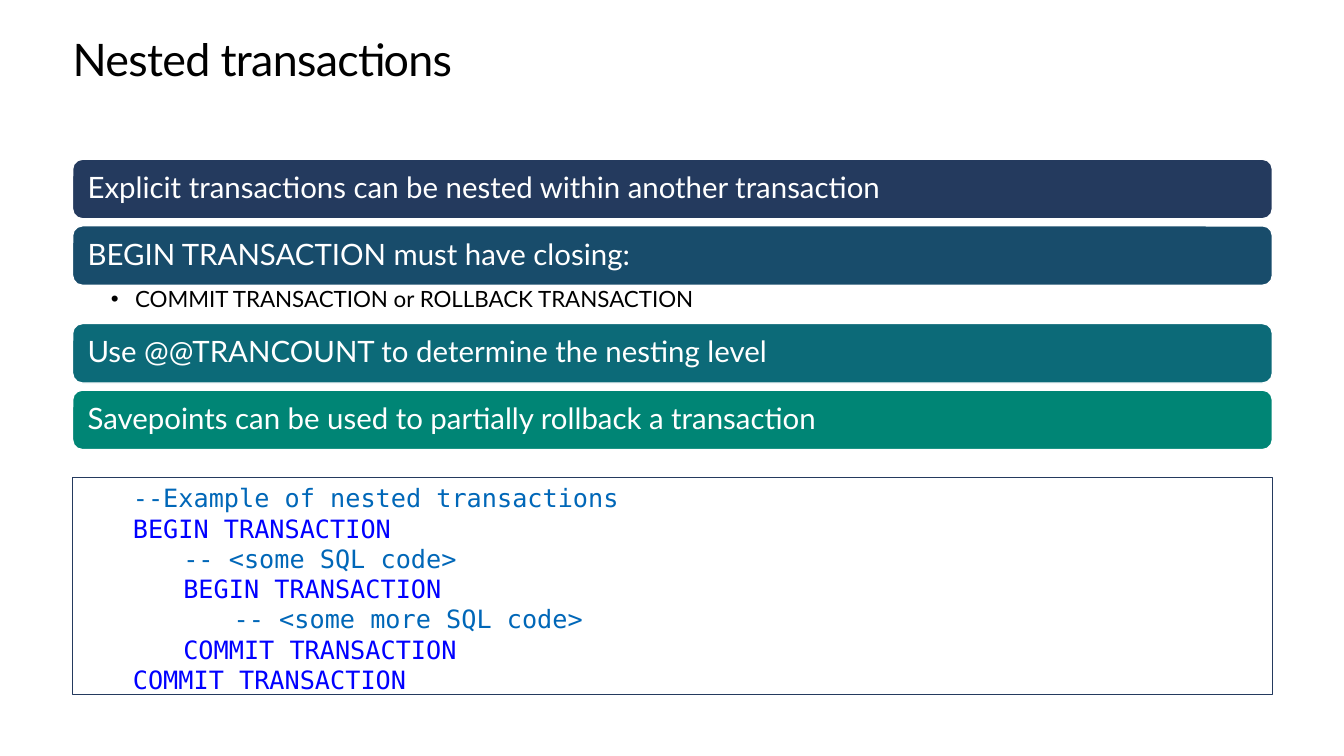
from dataclasses import dataclass

from pptx import Presentation
from pptx.dml.color import RGBColor as Rgb
from pptx.enum.shapes import MSO_SHAPE as Kind
from pptx.enum.text import MSO_ANCHOR as Anchor, MSO_AUTO_SIZE as Fit, PP_ALIGN as Align
from pptx.oxml.ns import qn
from pptx.util import Pt
from lxml.etree import SubElement

PX = 9144  # 100 px to the inch


@dataclass(frozen=True)
class Theme:
    sans: str = "Lato"
    mono: str = "DejaVu Sans Mono"
    black: str = "000000"
    white: str = "FFFFFF"
    navy: str = "243A5E"
    note: str = "0067B8"
    key: str = "0000FF"
    bars: tuple = ("243A5E", "184C6B", "0C6A78", "008575")
    head: int = 32
    item: int = 21
    sub: int = 16
    code: int = 18


LOOK = Theme()

ITEMS = [
    ("Explicit transactions can be nested within another transaction", None),
    ("BEGIN TRANSACTION must have closing:",
     "COMMIT TRANSACTION or ROLLBACK TRANSACTION"),
    ("Use @@TRANCOUNT to determine the nesting level", None),
    ("Savepoints can be used to partially rollback a transaction", None),
]

CODE = [
    "--Example of nested transactions",
    "BEGIN TRANSACTION",
    "\t-- <some SQL code>",
    "\tBEGIN TRANSACTION",
    "\t\t-- <some more SQL code>",
    "\tCOMMIT TRANSACTION",
    "COMMIT TRANSACTION",
]


def place(shape, box):
    shape.left, shape.top, shape.width, shape.height = (n * PX for n in box)


def setup(frame, pad, anchor=Anchor.TOP):
    """Set the insets (left, top, right, bottom) and anchor of a text frame."""
    frame.word_wrap = True
    frame.auto_size = Fit.NONE
    frame.vertical_anchor = anchor
    (frame.margin_left, frame.margin_top,
     frame.margin_right, frame.margin_bottom) = (n * PX for n in pad)


def write(para, text, size, color, font=LOOK.sans, lead=1.0, left=0, hang=0,
          bullet=None, track=0):
    props = para._p.get_or_add_pPr()
    props.set("marL", str(left * PX))
    props.set("indent", str(-hang * PX))
    para.alignment = Align.LEFT
    para.line_spacing = lead
    para.space_before = para.space_after = Pt(0)
    if bullet:
        SubElement(props, qn("a:buChar")).set("char", bullet)
    run = para.add_run()
    run.text = text
    run.font.name, run.font.size = font, Pt(size)
    run.font.color.rgb = Rgb.from_string(color)
    if track:
        run._r.get_or_add_rPr().set("spc", str(track))


def block(slide, kind, box, fill, line, width):
    shape = slide.shapes.add_shape(kind, *(n * PX for n in box))
    shape.shadow.inherit = False
    if fill:
        shape.fill.solid()
        shape.fill.fore_color.rgb = Rgb.from_string(fill)
    else:
        shape.fill.background()
    shape.line.color.rgb = Rgb.from_string(line)
    shape.line.width = Pt(width)
    return shape


def title(slide, box, text):
    shape = slide.shapes.title
    place(shape, box)
    setup(shape.text_frame, (0, 0, 0, 0))
    write(shape.text_frame.paragraphs[0], text, LOOK.head, LOOK.black,
          lead=Pt(36.2), track=-50)


def points(slide, box, items):
    """Stack coloured bars, with the sub-point in the body placeholder."""
    x, y, w, _ = box
    tall, gap, deep = 59, 7, 38
    for (text, sub), color in zip(items, LOOK.bars):
        bar = block(slide, Kind.ROUNDED_RECTANGLE, (x, y, w, tall),
                    color, LOOK.white, 1)
        setup(bar.text_frame, (12, 9, 12, 9), Anchor.MIDDLE)
        write(bar.text_frame.paragraphs[0], text, LOOK.item, LOOK.white, lead=0.9)
        y += tall
        if sub:
            body = slide.placeholders[1]
            place(body, (x, y, w, deep))
            setup(body.text_frame, (38, 3, 16, 3))
            write(body.text_frame.paragraphs[0], sub, LOOK.sub, LOOK.black,
                  lead=0.9, left=24, hang=24, bullet="•")
            y += deep
        else:
            y += gap


def code(slide, box, lines):
    frame = block(slide, Kind.RECTANGLE, box, None, LOOK.navy, 0.75).text_frame
    setup(frame, (10, 5, 10, 5))
    for n, line in enumerate(lines):
        para = frame.add_paragraph() if n else frame.paragraphs[0]
        color = LOOK.note if line.strip().startswith("--") else LOOK.key
        write(para, line, LOOK.code, color, font=LOOK.mono, left=50)


def main():
    deck = Presentation()
    deck.slide_width, deck.slide_height = 1333 * PX, 750 * PX
    slide = deck.slides.add_slide(deck.slide_layouts[1])
    left, wide = 72, 1190
    title(slide, (left, 35, wide, 50), "Nested transactions")
    points(slide, (left, 158, wide, 288), ITEMS)
    code(slide, (left, 474, wide, 215), CODE)
    deck.save("out.pptx")


if __name__ == "__main__":
    main()
